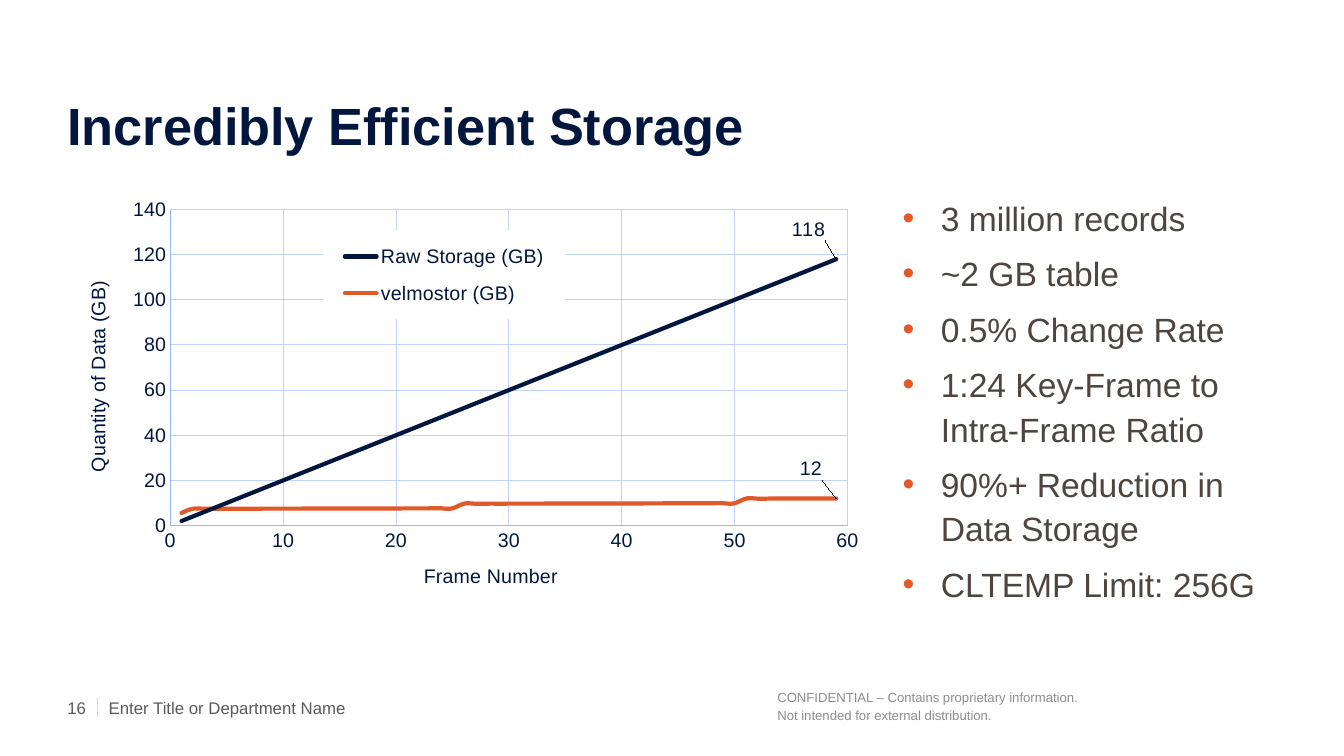
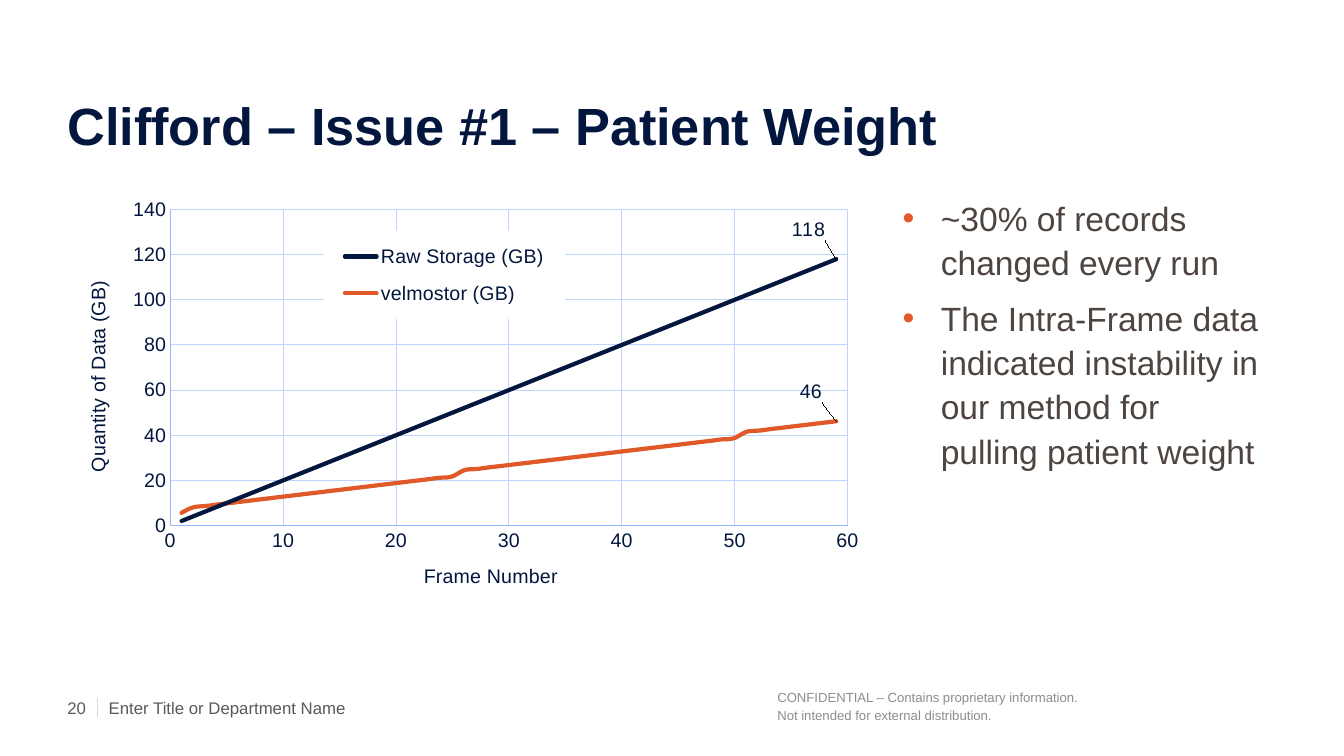
"""Builds two slides that set a storage chart beside its key points."""

from dataclasses import dataclass
from typing import Any

from pptx import Presentation
from pptx.chart.data import XyChartData
from pptx.chart.series import XySeries
from pptx.dml.color import RGBColor
from pptx.enum.chart import XL_CHART_TYPE, XL_LEGEND_POSITION, XL_TICK_MARK
from pptx.enum.shapes import MSO_CONNECTOR
from pptx.enum.text import MSO_ANCHOR
from pptx.oxml import parse_xml
from pptx.oxml.ns import nsdecls, qn
from pptx.oxml.xmlchemy import BaseOxmlElement
from pptx.slide import Slide
from pptx.util import Cm, Pt

CURVE = XL_CHART_TYPE.XY_SCATTER_SMOOTH_NO_MARKERS
RIGHT = XL_LEGEND_POSITION.RIGHT
NO_TICK = XL_TICK_MARK.NONE
STRAIGHT = MSO_CONNECTOR.STRAIGHT
TOP, MIDDLE, BOTTOM = MSO_ANCHOR.TOP, MSO_ANCHOR.MIDDLE, MSO_ANCHOR.BOTTOM

NAVY = RGBColor(0x03, 0x17, 0x3E)
ORANGE = RGBColor(0xE0, 0x59, 0x29)
CORAL = RGBColor(0xE3, 0x59, 0x29)
BROWN = RGBColor(0x4E, 0x45, 0x40)
SLATE = RGBColor(0x58, 0x59, 0x5B)
GREY = RGBColor(0x8C, 0x8D, 0x8D)
PALE = RGBColor(0xD9, 0xD9, 0xD6)
BLUE = RGBColor(0x95, 0xB7, 0xFA)
MIST = RGBColor(0xBF, 0xD4, 0xFC)
WHITE = RGBColor(0xFF, 0xFF, 0xFF)
FACE = "Arial"
FRAMES = range(1, 60)


@dataclass(frozen=True)
class Box:
    """A text area with its type style."""

    left: float
    top: float
    width: float
    height: float
    size: float
    color: RGBColor
    bold: bool = False
    anchor: MSO_ANCHOR = TOP
    pad: tuple[float, float] = (0, 0)
    wrap: bool = True
    lead: float = 1.0
    after: float = 0
    bullet: bool = False


@dataclass(frozen=True)
class Page:
    """The content of one slide."""

    number: int
    title: str
    points: tuple[str, ...]
    growth: float


@dataclass(frozen=True)
class Scale:
    """The range and title place of one axis."""

    title: str
    top: int
    step: int
    spot: tuple[float, float]


TITLE = Box(1.7, 0.93, 30.48, 3, 37.33, NAVY, True, BOTTOM)
BODY = Box(22.5, 4.75, 9.63, 10.62, 24, BROWN, pad=(0.25, 0.13),
           lead=1.1, after=8, bullet=True)
NOTICE = Box(19.59, 17.34, 8.69, 0.91, 9.33, GREY, lead=1.1)
FOLIO = Box(1.7, 17.48, 0.91, 0.69, 12, SLATE, anchor=MIDDLE,
            pad=(0, 0.13), wrap=False)
DEPT = Box(2.74, 17.48, 12.55, 0.69, 12, SLATE, anchor=MIDDLE,
           pad=(0, 0.13), wrap=False)

LEGAL = ("CONFIDENTIAL – Contains proprietary information.",
         "Not intended for external distribution.")
ACROSS = Scale("Frame Number", 60, 10, (0.44, 0.88))
UPWARD = Scale("Quantity of Data (GB)", 140, 20, (0.02, 0.21))

PAGES = (
    Page(16, "Incredibly Efficient Storage",
         ("3 million records", "~2 GB table", "0.5% Change Rate",
          "1:24 Key-Frame to \vIntra-Frame Ratio",
          "90%+ Reduction in Data Storage", "CLTEMP Limit: 256G"), 0.01),
    Page(20, "Clifford – Issue #1 – Patient Weight",
         ("~30% of records changed every run",
          "The Intra-Frame data indicated instability in our method for "
          "pulling patient weight"), 0.6),
)


def apply(target: Any, values: dict[str, Any]) -> None:
    """Set each named value on the target."""
    for name, value in values.items():
        setattr(target, name, value)


def style(font: Any, size: float, color: RGBColor, bold: bool = False) -> None:
    """Give a font its face, size and colour."""
    apply(font, {"name": FACE, "size": Pt(size), "bold": bold})
    font.color.rgb = color


def stroke(line: Any, color: RGBColor, width: float) -> None:
    """Give a line its colour and width."""
    line.color.rgb = color
    line.width = Pt(width)


def mark(props: BaseOxmlElement) -> None:
    """Add a hanging bullet to a paragraph."""
    props.set("marL", str(Cm(0.96)))
    props.set("indent", str(-Cm(0.96)))
    for tag, rest in (("buClr", f'><a:srgbClr val="{CORAL}"/></a:buClr>'),
                      ("buFont", f' typeface="{FACE}"/>'),
                      ("buChar", ' char="•"/>')):
        props.append(parse_xml(f'<a:{tag} {nsdecls("a")}{rest}'))


def write(slide: Slide, box: Box, lines: tuple[str, ...]) -> None:
    """Draw lines of text in a box."""
    shape = slide.shapes.add_textbox(Cm(box.left), Cm(box.top),
                                     Cm(box.width), Cm(box.height))
    frame = shape.text_frame
    side, edge = (Cm(pad) for pad in box.pad)
    apply(frame, {"margin_left": side, "margin_right": side,
                  "margin_top": edge, "margin_bottom": edge,
                  "word_wrap": box.wrap, "vertical_anchor": box.anchor})
    for index, line in enumerate(lines):
        para = frame.add_paragraph() if index else frame.paragraphs[0]
        apply(para, {"text": line, "line_spacing": box.lead,
                     "space_after": Pt(box.after)})
        for run in para.runs:
            style(run.font, box.size, box.color, box.bold)
        if box.bullet:
            mark(para._p.get_or_add_pPr())


def foot(slide: Slide, number: int) -> None:
    """Draw the footer that all slides share."""
    write(slide, NOTICE, LEGAL)
    rule = slide.shapes.add_connector(STRAIGHT, Cm(2.46), Cm(17.6),
                                      Cm(2.46), Cm(18.06))
    stroke(rule.line, PALE, 0.75)
    rule._element.spPr.append(parse_xml(f'<a:effectLst {nsdecls("a")}/>'))
    write(slide, FOLIO, (str(number),))
    write(slide, DEPT, ("Enter Title or Department Name",))


def place(node: BaseOxmlElement, left: float, top: float,
          size: tuple[float, ...] = (), inner: bool = False) -> None:
    """Fix a chart part at a fraction of the chart area."""
    for old in node.findall(qn("c:layout")):
        node.remove(old)
    parts = '<c:layoutTarget val="inner"/>' if inner else ""
    parts += '<c:xMode val="edge"/><c:yMode val="edge"/>'
    for tag, value in zip("xywh", (left, top, *size)):
        parts += f'<c:{tag} val="{value}"/>'
    layout = parse_xml(f'<c:layout {nsdecls("c")}><c:manualLayout>{parts}'
                       '</c:manualLayout></c:layout>')
    cover = node.find(qn("c:overlay"))
    if cover is None:
        node.insert(0, layout)
    else:
        cover.addprevious(layout)


def label(series: XySeries, shift: float) -> None:
    """Label the last point, set off up and left with a leader line."""
    flags = "".join(f'<c:show{name} val="%d"/>' for name in (
        "LegendKey", "Val", "CatName", "SerName", "Percent", "BubbleSize"))
    shown, hidden = flags % (0, 1, 0, 0, 0, 0), flags % ((0,) * 6)
    labels = parse_xml(
        f'<c:dLbls {nsdecls("c")}><c:dLbl><c:idx val="{len(FRAMES) - 1}"/>'
        f'<c:layout><c:manualLayout><c:x val="{shift}"/><c:y val="-0.07"/>'
        '</c:manualLayout></c:layout>'
        '<c:numFmt formatCode="0" sourceLinked="0"/>'
        f'<c:dLblPos val="r"/>{shown}</c:dLbl>{hidden}'
        '<c:extLst><c:ext uri="{CE6537A1-D6FC-4f65-9D91-7224C49458BB}" '
        'xmlns:c15="http://schemas.microsoft.com/office/drawing/2012/chart">'
        '<c15:showLeaderLines val="1"/></c:ext></c:extLst></c:dLbls>')
    series._element.find(qn("c:xVal")).addprevious(labels)


def scale(axis: Any, plan: Scale) -> None:
    """Format one axis by its plan."""
    apply(axis, {"minimum_scale": 0, "maximum_scale": plan.top,
                 "major_unit": plan.step, "has_major_gridlines": True,
                 "major_tick_mark": NO_TICK, "minor_tick_mark": NO_TICK})
    stroke(axis.format.line, BLUE, 0.75)
    stroke(axis.major_gridlines.format.line, MIST, 0.75)
    style(axis.tick_labels.font, 14, NAVY)
    title = axis.axis_title
    title.text_frame.text = plan.title
    style(title.text_frame.paragraphs[0].runs[0].font, 14, NAVY)
    place(title._element, *plan.spot)


def stored(frame: int, growth: float) -> float:
    """Give the stored size: steady growth and a jump per key frame."""
    jumps = 1.8 * (frame > 1) + 2 * (frame > 25) + 2 * (frame > 50)
    return round(5.6 + growth * (frame - 1) + jumps, 2)


def plot(slide: Slide, growth: float) -> None:
    """Draw the storage chart."""
    data = XyChartData()
    raw = data.add_series("Raw Storage (GB)")
    kept = data.add_series("velmostor (GB)")
    for frame in FRAMES:
        raw.add_data_point(frame, 2 * frame)
        kept.add_data_point(frame, stored(frame, growth))
    chart = slide.shapes.add_chart(CURVE, Cm(1.65), Cm(4.75), Cm(20.32),
                                   Cm(10.62), data).chart
    apply(chart, {"has_title": False, "has_legend": True})
    style(chart.font, 14, NAVY)
    scale(chart.category_axis, ACROSS)
    scale(chart.value_axis, UPWARD)
    area = chart._chartSpace.find(".//" + qn("c:plotArea"))
    place(area, 0.13, 0.05, (0.84, 0.75), True)

    legend = chart.legend
    apply(legend, {"position": RIGHT, "include_in_layout": True})
    style(legend.font, 14, NAVY)
    node = legend._element
    place(node, 0.32, 0.1, (0.3, 0.21))
    node.find(qn("c:overlay")).addnext(parse_xml(
        f'<c:spPr {nsdecls("c", "a")}><a:solidFill>'
        f'<a:srgbClr val="{WHITE}"/></a:solidFill></c:spPr>'))

    group = chart.plots[0]
    group.vary_by_categories = False
    for series, color, shift in zip(group.series, (NAVY, ORANGE),
                                    (-0.06, -0.05)):
        stroke(series.format.line, color, 3)
        series._element.find(".//" + qn("a:ln")).set("cap", "rnd")
        series._element.find(qn("c:smooth")).set("val", "1")
        label(series, shift)


def main() -> None:
    """Build and save the deck."""
    deck = Presentation()
    apply(deck, {"slide_width": Cm(33.87), "slide_height": Cm(19.05)})
    for page in PAGES:
        slide = deck.slides.add_slide(deck.slide_layouts[6])
        foot(slide, page.number)
        write(slide, TITLE, (page.title,))
        write(slide, BODY, page.points)
        plot(slide, page.growth)
    deck.save("out.pptx")


if __name__ == "__main__":
    main()
